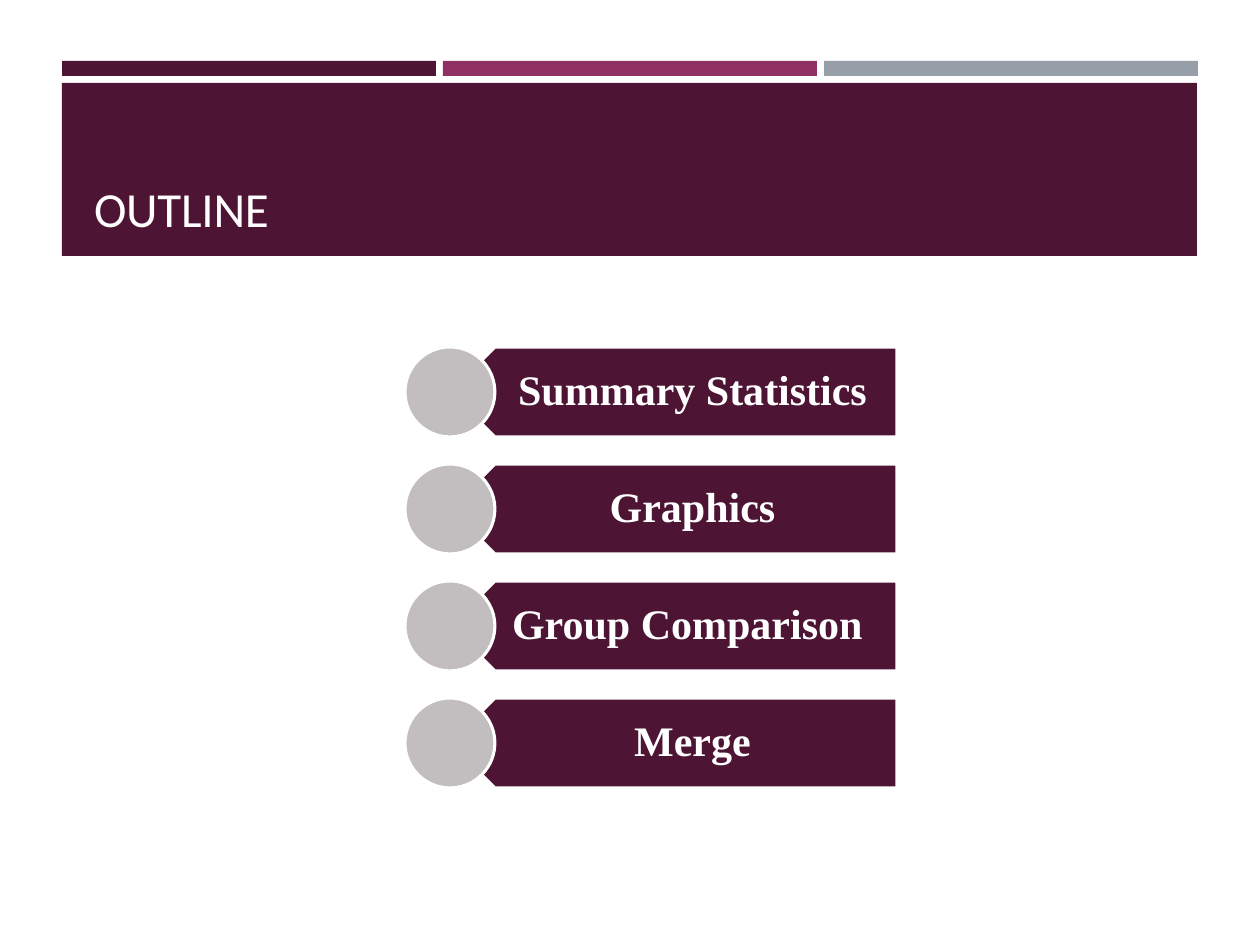
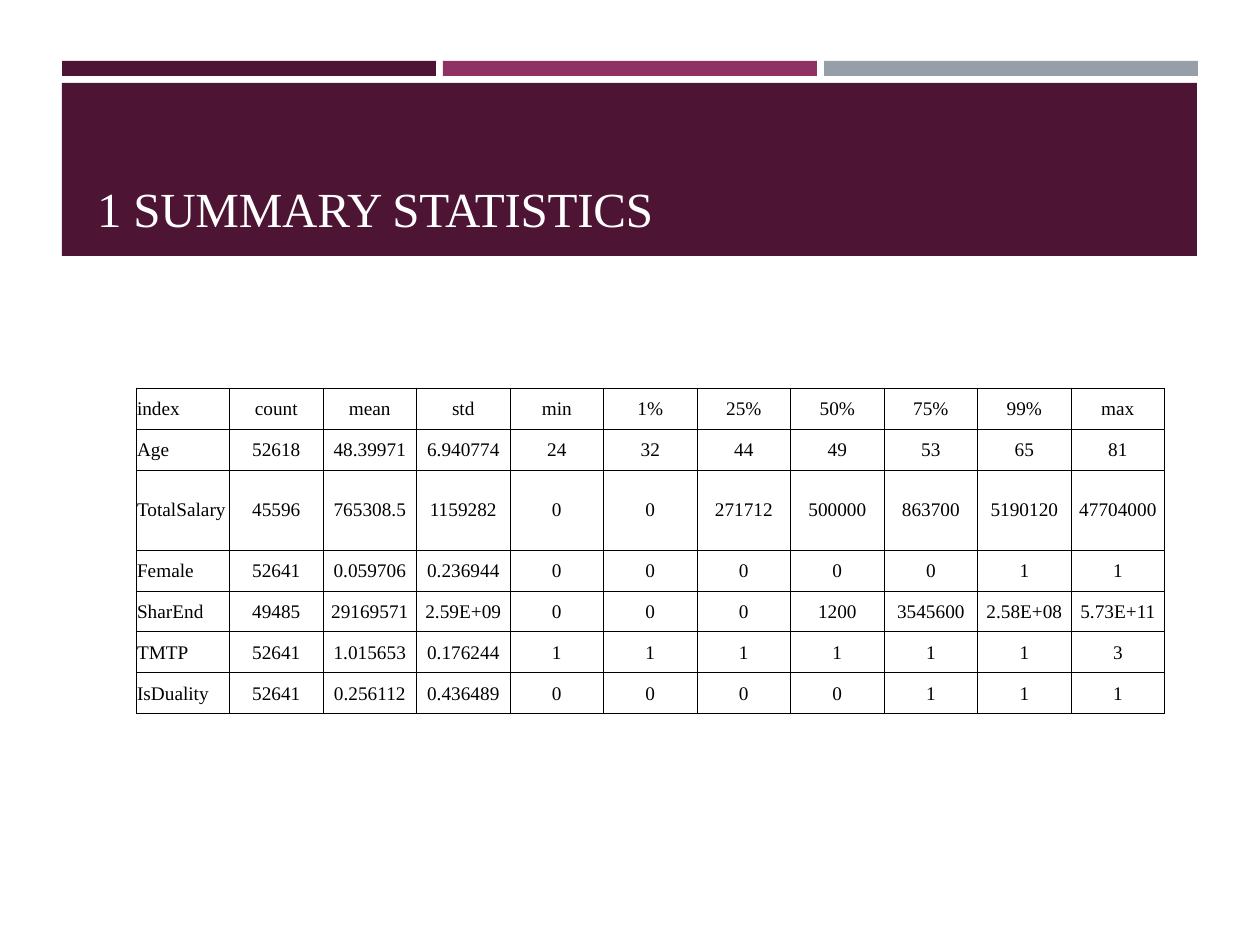
from lxml.etree import SubElement
from pptx import Presentation
from pptx.dml.color import RGBColor
from pptx.enum.shapes import MSO_SHAPE
from pptx.enum.text import MSO_ANCHOR, PP_ALIGN
from pptx.oxml.ns import qn
from pptx.util import Emu, Pt

EMU_PER_PX = 914400 / 126
PLUM, MAGENTA, SLATE = "4D1434", "903163", "969FA7"
SILVER, WHITE, BLACK = "C2BDBF", "FFFFFF", "000000"
SANS, SERIF = "Calibri", "Times New Roman"

TOPICS = ["Summary Statistics", "Graphics", "Group Comparison ", "Merge"]
STATISTICS = [
    ["index", "count", "mean", "std", "min", "1%", "25%", "50%", "75%", "99%", "max"],
    ["Age", "52618", "48.39971", "6.940774", "24", "32", "44", "49", "53", "65", "81"],
    ["TotalSalary", "45596", "765308.5", "1159282", "0", "0", "271712", "500000",
     "863700", "5190120", "47704000"],
    ["Female", "52641", "0.059706", "0.236944", "0", "0", "0", "0", "0", "1", "1"],
    ["SharEnd", "49485", "29169571", "2.59E+09", "0", "0", "0", "1200",
     "3545600", "2.58E+08", "5.73E+11"],
    ["TMTP", "52641", "1.015653", "0.176244", "1", "1", "1", "1", "1", "1", "3"],
    ["IsDuality", "52641", "0.256112", "0.436489", "0", "0", "0", "0", "1", "1", "1"],
]


def px(*lengths):
    return [Emu(round(n * EMU_PER_PX)) for n in lengths]


def rgb(color):
    return RGBColor.from_string(color)


def add_shape(s, kind, box, fill, line=None):
    sp = s.shapes.add_shape(kind, *px(*box))
    sp.shadow.inherit = False
    sp.fill.solid()
    sp.fill.fore_color.rgb = rgb(fill)
    if line:
        sp.line.color.rgb = rgb(line)
        sp.line.width = Pt(1.75)
    else:
        sp.line.fill.background()
    return sp


def set_margins(holder, margins):
    """Apply left, top, right and bottom margins to a text frame or cell."""
    (holder.margin_left, holder.margin_top,
     holder.margin_right, holder.margin_bottom) = px(*margins)


def add_run(p, text, size, font, color, bold=False):
    r = p.add_run()
    r.text = text
    r.font.size = Pt(size)
    r.font.name = font
    r.font.color.rgb = rgb(color)
    r.font.bold = bold
    return r


def add_text_frame(s, box, margins, anchor):
    tf = s.shapes.add_textbox(*px(*box)).text_frame
    tf.word_wrap = True
    tf.vertical_anchor = anchor
    set_margins(tf, margins)
    return tf


def add_titled_slide(prs, title, font, indent=0):
    s = prs.slides.add_slide(prs.slide_layouts[6])
    for i, color in enumerate([PLUM, MAGENTA, SLATE]):
        add_shape(s, MSO_SHAPE.RECTANGLE, (62 + 381 * i, 61, 374, 15), color)
    add_shape(s, MSO_SHAPE.RECTANGLE, (62, 83, 1135, 173), PLUM)
    tf = add_text_frame(s, (81, 94, 1101, 149), (13 + indent, 6, 13, 6),
                        MSO_ANCHOR.BOTTOM)
    r = add_run(tf.paragraphs[0], title, 28, font, WHITE)
    r.font._element.set("spc", "-10")
    return s, tf.paragraphs[0]


def add_topic(s, top, topic):
    size = 90
    arrow = add_shape(s, MSO_SHAPE.PENTAGON, (450, top, 447, size), PLUM, WHITE)
    arrow.rotation = 180
    tf = add_text_frame(s, (472, top, 425, size), (40, 12, 24, 12), MSO_ANCHOR.MIDDLE)
    p = tf.paragraphs[0]
    p.alignment = PP_ALIGN.CENTER
    p.line_spacing = 0.9
    add_run(p, topic, 24, SERIF, WHITE, bold=True)
    add_shape(s, MSO_SHAPE.OVAL, (405, top, size, size), SILVER, WHITE)


def add_borders(cell):
    tc_pr = cell._tc.get_or_add_tcPr()
    for side in ("a:lnL", "a:lnR", "a:lnT", "a:lnB"):
        ln = SubElement(tc_pr, qn(side), w=str(Pt(0.5)))
        fill = SubElement(ln, qn("a:solidFill"))
        SubElement(fill, qn("a:srgbClr"), val=BLACK)


def add_statistics_table(s, box, rows):
    table = s.shapes.add_table(len(rows), len(rows[0]), *px(*box)).table
    table.first_row = table.horz_banding = False
    for i, values in enumerate(rows):
        table.rows[i].height = px(80 if values[0] == "TotalSalary" else 41)[0]
        for j, value in enumerate(values):
            cell = table.cell(i, j)
            set_margins(cell, (1, 1, 1, 0))
            cell.vertical_anchor = MSO_ANCHOR.MIDDLE
            add_borders(cell)
            cell.fill.background()
            p = cell.text_frame.paragraphs[0]
            p.alignment = PP_ALIGN.CENTER if j else PP_ALIGN.LEFT
            add_run(p, value, 11, SERIF, BLACK)


def main():
    prs = Presentation()
    prs.slide_width, prs.slide_height = px(1260, 945)

    s, _ = add_titled_slide(prs, "OUTLINE", SANS)
    for i, topic in enumerate(TOPICS):
        add_topic(s, 347 + 117 * i, topic)

    s, p = add_titled_slide(prs, "1 SUMMARY STATISTICS", SERIF, indent=3)
    p.alignment = PP_ALIGN.JUSTIFY
    p.line_spacing = 1.15
    add_statistics_table(s, (136, 388, 1029, 326), STATISTICS)

    prs.save("out.pptx")


if __name__ == "__main__":
    main()
